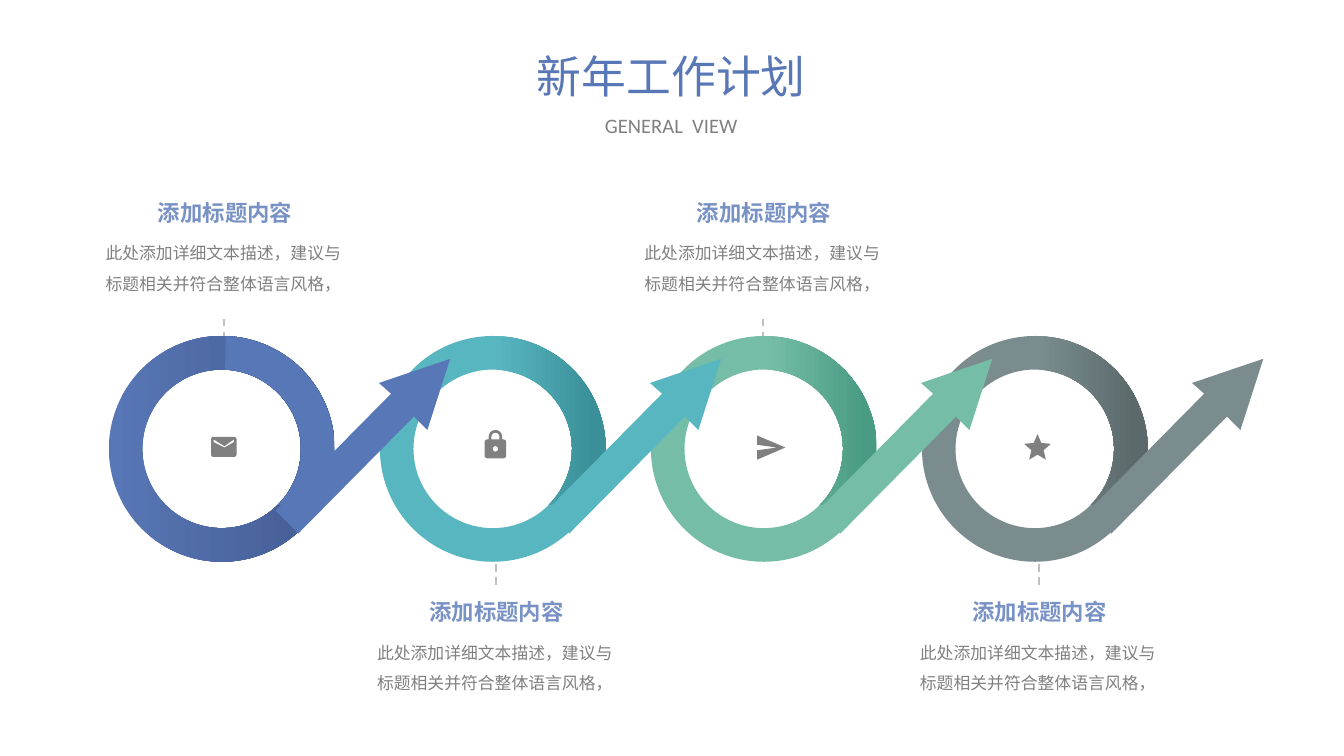
import math
from dataclasses import dataclass

import pptx
import pptx.dml.color
import pptx.enum.dml
import pptx.enum.shapes
import pptx.enum.text
import pptx.oxml
import pptx.util
from pptx.util import Inches

SHAPE = pptx.enum.shapes.MSO_SHAPE
ANCHOR = pptx.enum.text.MSO_ANCHOR
AUTO_SIZE = pptx.enum.text.MSO_AUTO_SIZE


@dataclass(frozen=True)
class Theme:
    font: str = "Calibri"
    title: str = "5877B6"
    heading: str = "7992C5"
    muted: str = "808080"
    guide: str = "BFBFBF"
    title_size: int = 24
    subtitle_size: int = 11
    heading_size: int = 12
    body_size: int = 9
    # Light and dark colour of each stage
    stages: tuple = (("5877B6", "465E96"), ("58B6C0", "3A8F98"),
                     ("75BDA7", "4A9B83"), ("7A8C8E", "5B696B"))


THEME = Theme()
HEADING = "添加标题内容"
DETAIL = "此处添加详细文本描述，建议与标题相关并符合整体语言风格，"
SLIDE_WIDTH = 10
FIRST_LEFT, STAGE_TOP, STAGE_STEP = 0.81, 2.5, 6.05 / 3
LABEL_CENTERS = (1.67, 3.69, 5.68, 7.73)
RING, BAND = 1.68, 0.25


def rgb(code):
    return pptx.dml.color.RGBColor.from_string(code)


def paint(shape, light, dark=None):
    """Fill with one colour, or left to right from light to dark."""
    shape.shadow.inherit = False
    shape.line.fill.background()
    if dark is None:
        shape.fill.solid()
        shape.fill.fore_color.rgb = rgb(light)
        return
    shape.fill.gradient()
    shape.fill.gradient_angle = 0
    for stop, code, position in zip(shape.fill.gradient_stops, (light, dark), (0, 0.9)):
        stop.color.rgb = rgb(code)
        stop.position = position


def arc(cx, cy, radius, start, end, steps=32):
    """Points along a circle; degrees run clockwise from the right."""
    angles = [math.radians(start + (end - start) * i / steps) for i in range(steps + 1)]
    return [(cx + radius * math.cos(a), cy + radius * math.sin(a)) for a in angles]


def rounded_box(left, top, right, bottom, radius):
    corners = ((right, top, -1, 1, -90), (right, bottom, -1, -1, 0),
               (left, bottom, 1, -1, 90), (left, top, 1, 1, 180))
    return [point for x, y, dx, dy, start in corners
            for point in arc(x + dx * radius, y + dy * radius, radius, start, start + 90, 6)]


def draw_outline(slide, left, top, *contours):
    """Closed contours in inches from the given corner; inner ones are holes."""
    placed = [[(Inches(left + x), Inches(top + y)) for x, y in contour]
              for contour in contours]
    builder = slide.shapes.build_freeform(*placed[0][0])
    builder.add_line_segments(placed[0][1:])
    for contour in placed[1:]:
        builder.move_to(*contour[0])
        builder.add_line_segments(contour[1:])
    return builder.convert_to_shape()


def write(shape, text, size, color, bold=False, inset=None, spacing=None,
          anchor=ANCHOR.TOP, grow=AUTO_SIZE.SHAPE_TO_FIT_TEXT):
    frame = shape.text_frame
    frame.text = text
    frame.word_wrap = True
    frame.auto_size = grow
    frame.vertical_anchor = anchor
    if inset is not None:
        frame.margin_left = frame.margin_right = Inches(inset)
        frame.margin_top = frame.margin_bottom = Inches(inset)
    paragraph = frame.paragraphs[0]
    paragraph.alignment = pptx.enum.text.PP_ALIGN.CENTER
    paragraph.space_before = pptx.util.Pt(0)
    if spacing:
        paragraph.line_spacing = spacing
    font = paragraph.runs[0].font
    font.name, font.size, font.bold = THEME.font, pptx.util.Pt(size), bold
    font.color.rgb = rgb(color)


def add_header(slide, left, top, width):
    rows = ((slide.shapes.title, "新年工作计划", THEME.title_size, THEME.title, 0, 0.5),
            (slide.placeholders[1], "GENERAL  VIEW", THEME.subtitle_size,
             THEME.muted, 0.48, 0.29))
    for holder, text, size, color, offset, height in rows:
        holder.left, holder.top = Inches(left), Inches(top + offset)
        holder.width, holder.height = Inches(width), Inches(height)
        write(holder, text, size, color, grow=AUTO_SIZE.NONE)


def add_guide(slide, x, top, length):
    guide = slide.shapes.add_connector(
        pptx.enum.shapes.MSO_CONNECTOR.STRAIGHT,
        Inches(x), Inches(top + length), Inches(x), Inches(top))
    guide.line.color.rgb = rgb(THEME.guide)
    guide.line.width = pptx.util.Pt(1)
    guide.line.dash_style = pptx.enum.dml.MSO_LINE.DASH
    guide._element.spPr.append(pptx.oxml.parse_xml(
        '<a:effectLst xmlns:a="http://schemas.openxmlformats.org/drawingml/2006/main"/>'))


def add_stage(slide, left, top, light, dark, shade_ring):
    # Full ring
    ring = slide.shapes.add_shape(SHAPE.DONUT, Inches(left), Inches(top),
                                  Inches(RING), Inches(RING))
    ring.adjustments[0] = BAND / RING
    # Right part of the ring, ending flat behind the arrow
    radius = RING / 2
    side = draw_outline(slide, left, top,
                        arc(radius, radius, radius, -88, 30.5)
                        + arc(radius, radius, radius - BAND, 45, -87.5))
    paint(ring, light, dark if shade_ring else None)
    paint(side, light, None if shade_ring else dark)
    # Arrow rising to the next stage
    arrow = draw_outline(slide, left + 1.24, top + 0.17,
                         [(1.3, 0), (0.77, 0.18), (0.86, 0.26), (0, 1.13),
                          (0.17, 1.3), (1.03, 0.43), (1.13, 0.53)])
    paint(arrow, light)


def add_mail(slide, left, top):
    flap = [(0.17, 0.04), (0.1, 0.08), (0.02, 0.04), (0.02, 0.02),
            (0.1, 0.07), (0.17, 0.02)]
    return draw_outline(slide, left, top, rounded_box(0, 0, 0.19, 0.15, 0.02), flap)


def add_lock(slide, left, top):
    body = ([(0.03, 0.07)] + arc(0.08, 0.05, 0.05, 180, 360) + [(0.13, 0.07)]
            + rounded_box(0, 0.07, 0.16, 0.21, 0.02))
    keyhole = arc(0.08, 0.14, 0.02, 0, 360)
    shackle_gap = [(0.05, 0.07)] + arc(0.08, 0.05, 0.03, 180, 360) + [(0.11, 0.07)]
    return draw_outline(slide, left, top, body, keyhole, shackle_gap)


def add_send(slide, left, top):
    return draw_outline(slide, left, top, [(0, 0.18), (0.21, 0.09), (0, 0), (0, 0.07),
                                           (0.15, 0.09), (0, 0.11)])


def add_star(slide, left, top):
    star = slide.shapes.add_shape(SHAPE.STAR_5_POINT, Inches(left), Inches(top),
                                  Inches(0.2), Inches(0.19))
    star.adjustments[0] = 0.23
    return star


def add_label(slide, center, top):
    heading = slide.shapes.add_textbox(Inches(center - 0.69), Inches(top),
                                       Inches(1.39), Inches(0.29))
    write(heading, HEADING, THEME.heading_size, THEME.heading, bold=True, inset=0.04)
    detail = slide.shapes.add_textbox(Inches(center - 0.95), Inches(top + 0.285),
                                      Inches(1.88), Inches(0.47))
    write(detail, DETAIL, THEME.body_size, THEME.muted, inset=0.02,
          spacing=1.5, anchor=ANCHOR.MIDDLE)


def main():
    deck = pptx.Presentation()
    deck.slide_width = Inches(SLIDE_WIDTH)
    deck.slide_height = Inches(SLIDE_WIDTH * 9 / 16)
    slide = deck.slides.add_slide(deck.slide_layouts[0])
    add_header(slide, 3.7, 0.31, 2.59)

    lefts = [FIRST_LEFT + i * STAGE_STEP for i in range(len(THEME.stages))]
    for i, center in enumerate(LABEL_CENTERS):
        add_guide(slide, center, 4.08 if i % 2 else 2.35, 0.27)
    # Last stage first, so that each arrow lies over the next ring
    for i in reversed(range(len(lefts))):
        add_stage(slide, lefts[i], STAGE_TOP, *THEME.stages[i], shade_ring=i == 0)

    icons = ((add_mail, 0.76, 0.75), (add_lock, 0.78, 0.7),
             (add_send, 0.79, 0.74), (add_star, 0.76, 0.73))
    for left, (add_icon, dx, dy) in zip(lefts, icons):
        paint(add_icon(slide, left + dx, STAGE_TOP + dy), THEME.muted)
    # Labels alternate above and below the rings
    for i, center in enumerate(LABEL_CENTERS):
        add_label(slide, center, 4.41 if i % 2 else 1.44)
    deck.save("out.pptx")


if __name__ == "__main__":
    main()
